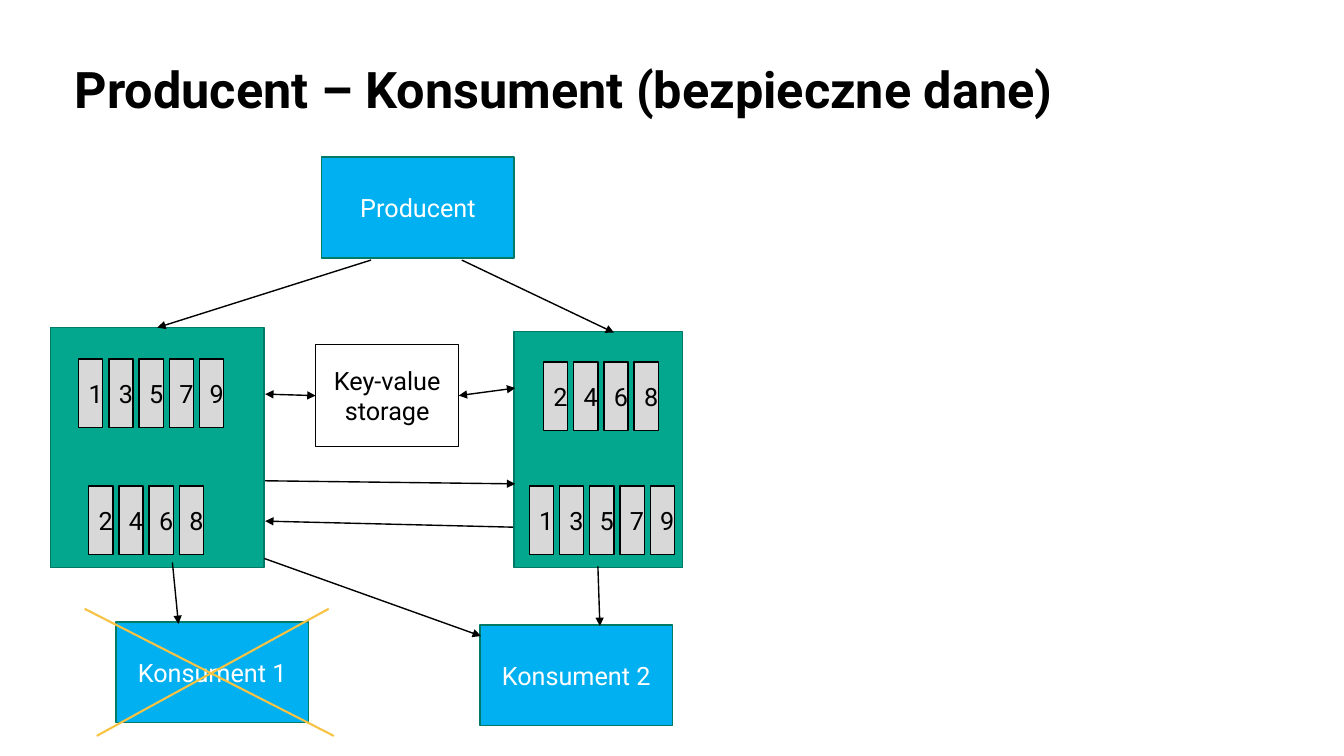
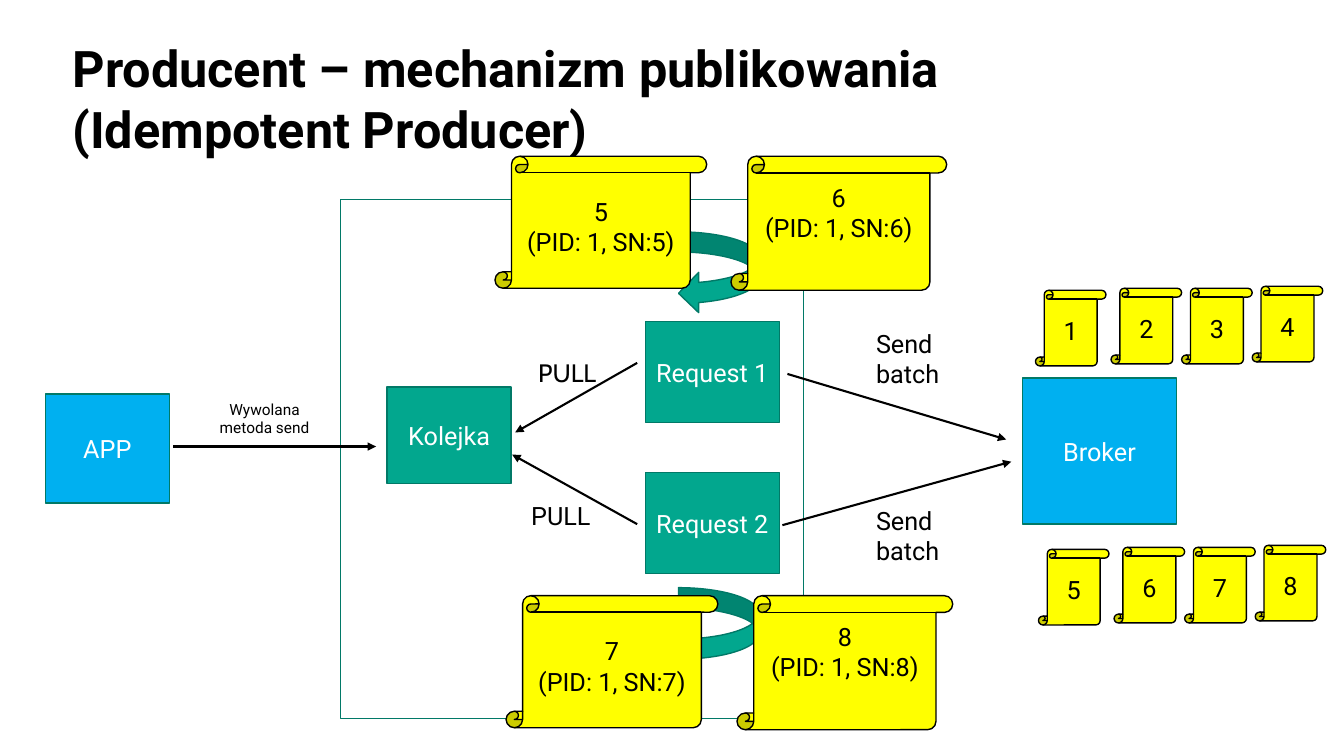
from lxml import etree
from pptx import Presentation
from pptx import util as u
from pptx.dml import color
from pptx.enum import shapes, text
from pptx.oxml import ns

BLUE, GREEN, EDGE = "00B0F0", "02A78E", "017967"
GREY, YELLOW, GOLD = "D8D8D8", "FFFF00", "F8C344"
BLACK, WHITE = "000000", "FFFFFF"
KIND = shapes.MSO_SHAPE
ANCHOR = text.MSO_ANCHOR
ALIGN = text.PP_ALIGN
TEXT = {"name": "Roboto", "size": 18, "bold": False}
TITLE = {**TEXT, "size": 36, "bold": True}
SCROLL_STEPS = [(0, 0.04), (0.75, 0.02), (1.45, 0.02), (2.15, 0)]


def paint(target, hex_value):
    target.rgb = color.RGBColor.from_string(hex_value)


def lengths(values):
    return [u.Inches(value) for value in values]


def write(shape, words, ink=BLACK, style=TEXT, anchor=ANCHOR.MIDDLE,
          align=ALIGN.CENTER, insets=(0.1, 0.05, 0.1, 0.05)):
    frame = shape.text_frame
    sides = ("left", "top", "right", "bottom")
    layout = {f"margin_{side}": u.Inches(size) for side, size in zip(sides, insets)}
    layout.update(word_wrap=True, vertical_anchor=anchor)
    for name, value in layout.items():
        setattr(frame, name, value)
    para = frame.paragraphs[0]
    para.alignment = align
    for index, line in enumerate(words.split("\n")):
        if index:
            para.add_line_break()
        span = para.add_run()
        span.text = line
        for name, value in {**style, "size": u.Pt(style["size"])}.items():
            setattr(span.font, name, value)
        paint(span.font.color, ink)


def add_block(page, box, fill, edge=EDGE, words="", ink=WHITE, kind=KIND.RECTANGLE, **layout):
    shape = page.shapes.add_shape(kind, *lengths(box))
    shape.shadow.inherit = False
    shape.fill.solid()
    paint(shape.fill.fore_color, fill)
    paint(shape.line.color, edge)
    shape.line.width = u.Pt(1)
    if words:
        write(shape, words, ink, **layout)
    return shape


def add_label(page, box, words, **layout):
    shape = page.shapes.add_textbox(*lengths(box))
    write(shape, words, **{"anchor": ANCHOR.TOP, **layout})


def add_title(page, box, words):
    add_label(page, box, words, style=TITLE, anchor=ANCHOR.BOTTOM,
              align=ALIGN.LEFT, insets=(0, 0.05, 0, 0.05))


def add_line(page, start, end, width=1, ink=BLACK, heads=("tailEnd",)):
    line = page.shapes.add_connector(shapes.MSO_CONNECTOR.STRAIGHT, *lengths(start + end))
    paint(line.line.color, ink)
    line.line.width = u.Pt(width)
    outline = line.line._get_or_add_ln()
    for head in heads:
        etree.SubElement(outline, ns.qn(f"a:{head}"), type="triangle")
    etree.SubElement(line._element.spPr, ns.qn("a:effectLst"))
    return line


def add_buffer(page, box, rows):
    left, top, _, _ = box
    buffer = add_block(page, box, GREEN)
    for dx, dy, digits in rows:
        for index, digit in enumerate(digits):
            add_block(page, (left + dx + 0.3 * index, top + dy, 0.24, 0.68),
                      GREY, BLACK, digit, BLACK)
    return buffer


def add_cross(page, box):
    left, top, width, height = box
    right, bottom = left + width, top + height
    for start, end in [((left, top), (right, bottom)),
                       ((left + 0.12, bottom), (right - 0.05, top))]:
        add_line(page, start, end, 1.5, GOLD, ())


def add_scroll(page, box, words, lift=0):
    add_block(page, box, YELLOW, BLACK, words, BLACK, KIND.VERTICAL_SCROLL,
              insets=(0.1, 0.05, 0.1, 0.05 + lift))


def add_scroll_row(page, left, top, digits):
    for (dx, dy), digit in zip(SCROLL_STEPS, digits):
        add_scroll(page, (left + dx, top + dy, 0.7, 0.75), digit)


def add_batch_pair(page, left, top, gap, first):
    boxes = [(left, top, 2.1, 1.31, 0), (left + gap, top, 2.14, 1.33, 0.3)]
    for number, (*box, lift) in enumerate(boxes, first):
        add_scroll(page, box, f"{number}\n(PID: 1, SN:{number})", lift)


def build_safe_data(page):
    for left, top, words in [(3.19, 1.56, "Producent"), (1.15, 6.17, "Konsument 1"),
                             (4.76, 6.2, "Konsument 2")]:
        add_block(page, (left, top, 1.91, 1), BLUE, words=words)
    odd, even = "13579", "2468"
    left_buffer = add_buffer(page, (0.5, 3.25, 2.12, 2.38),
                             [(0.28, 0.31, odd), (0.38, 1.57, even)])
    add_buffer(page, (5.1, 3.29, 1.67, 2.34), [(0.29, 0.3, even), (0.15, 1.53, odd)])
    storage = add_block(page, (3.13, 3.42, 1.42, 1.01), WHITE, BLACK,
                        "Key-value storage", BLACK)
    add_line(page, (3.68, 2.58), (1.56, 3.25)).end_connect(left_buffer, 0)
    for start, end in [((4.58, 2.58), (6.09, 3.3)), ((2.63, 4.77), (5.11, 4.8)),
                       ((5.09, 5.23), (2.63, 5.17)), ((1.71, 5.58), (1.77, 6.19)),
                       ((5.93, 5.62), (5.95, 6.21)), ((2.62, 5.54), (4.77, 6.31))]:
        add_line(page, start, end)
    for start, end, side in [((3.13, 3.92), (2.63, 3.91), 1),
                             ((4.55, 3.92), (5.11, 3.85), 3)]:
        link = add_line(page, start, end, heads=("headEnd", "tailEnd"))
        link.begin_connect(storage, side)
    add_cross(page, (0.84, 6.04, 2.47, 1.26))
    add_title(page, (0.74, 0, 11.84, 1.23), "Producent – Konsument (bezpieczne dane)")


def build_idempotent(page):
    add_title(page, (0.72, 0.18, 9.4, 1.44),
              "Producent – mechanizm publikowania (Idempotent Producer)")
    for box, fill, words in [((0.45, 3.91, 1.23, 1.08), BLUE, "APP"),
                             ((3.38, 1.98, 4.59, 5.15), WHITE, ""),
                             ((10.14, 3.75, 1.53, 1.45), BLUE, "Broker"),
                             ((6.4, 3.19, 1.33, 1), GREEN, "Request 1"),
                             ((6.4, 4.69, 1.33, 1), GREEN, "Request 2"),
                             ((3.84, 3.84, 1.23, 0.96), GREEN, "Kolejka")]:
        add_block(page, box, fill, words=words)
    for start, end in [((1.72, 4.43), (3.73, 4.43)), ((6.32, 3.6), (5.11, 4.29)),
                       ((6.32, 5.2), (5.08, 4.51)), ((7.81, 3.71), (9.98, 4.36)),
                       ((7.76, 5.21), (10.03, 4.58))]:
        add_line(page, start, end, 1.5)
    add_label(page, (1.91, 3.92, 1.43, 0.47), "Wywolana metoda send", style={**TEXT, "size": 11})
    add_label(page, (4.91, 3.5, 1.43, 0.4), "PULL", style={**TEXT, "name": "Cabin"})
    add_label(page, (5.17, 4.91, 3, 0.4), "PULL", align=ALIGN.LEFT)
    for top in (3.21, 4.96):
        add_label(page, (8.59, top, 1.01, 0.71), "Send\nbatch", align=ALIGN.LEFT)
    for top in (2.3, 5.83):
        add_block(page, (6.73, top, 0.8, 0.81), GREEN, kind=KIND.CURVED_LEFT_ARROW)
    add_batch_pair(page, 4.91, 1.55, 2.34, 5)
    add_batch_pair(page, 5.02, 5.91, 2.29, 7)
    add_scroll_row(page, 10.27, 2.84, "1234")
    add_scroll_row(page, 10.3, 5.41, "5678")


def main():
    deck = Presentation()
    deck.slide_width, deck.slide_height = lengths((13.33, 7.5))
    for build in (build_safe_data, build_idempotent):
        build(deck.slides.add_slide(deck.slide_layouts[6]))
    deck.save("out.pptx")


if __name__ == "__main__":
    main()
